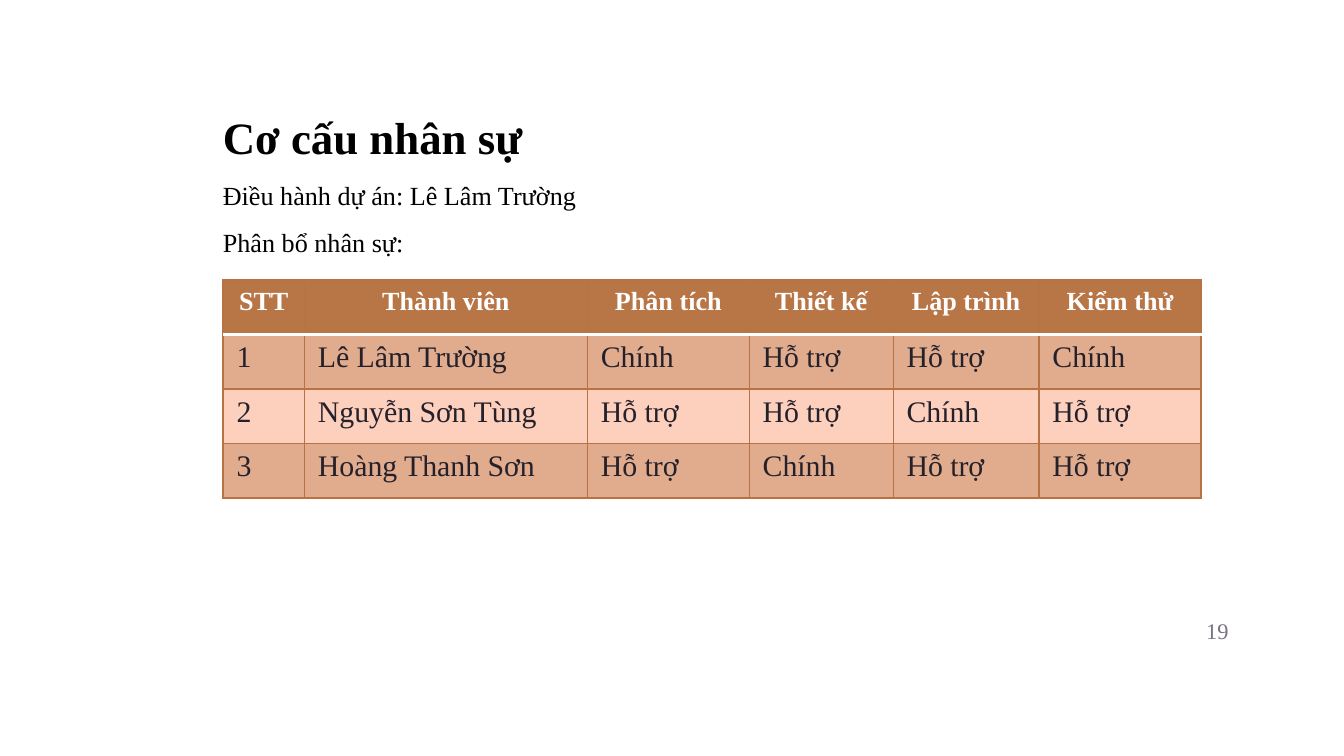
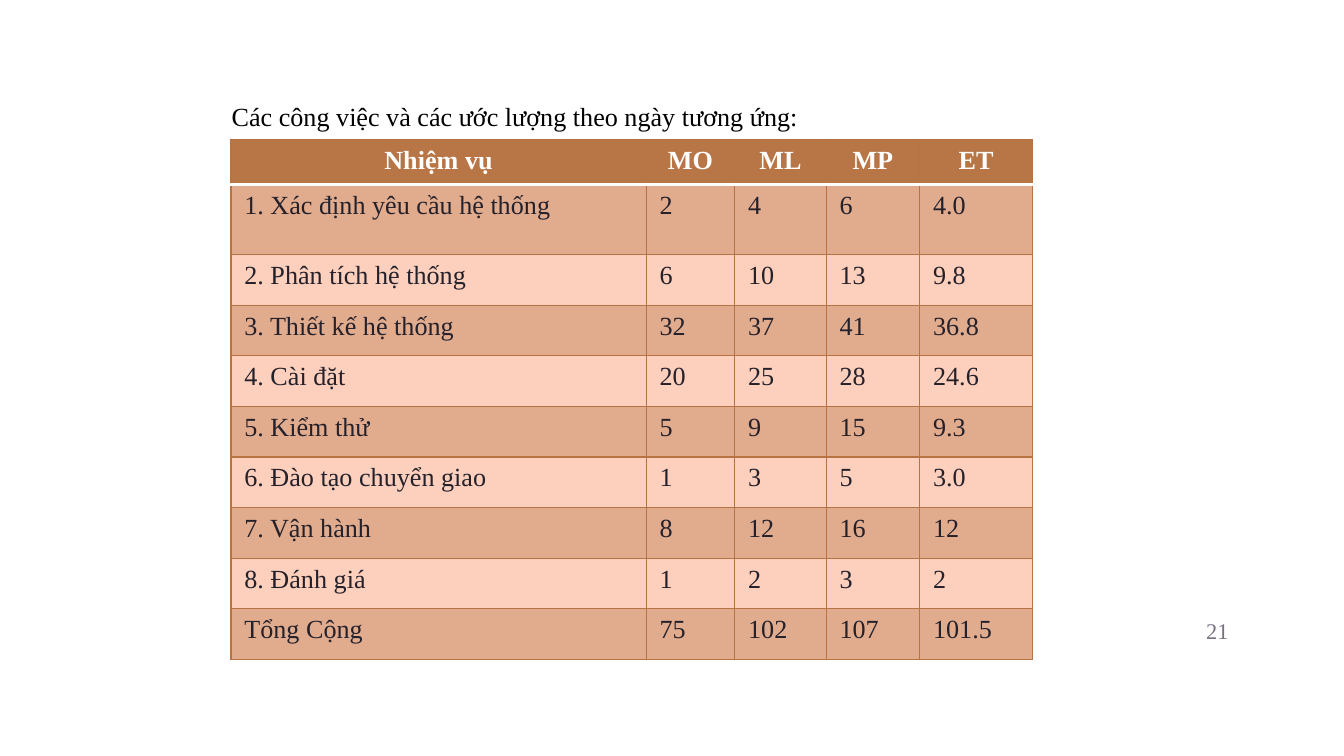
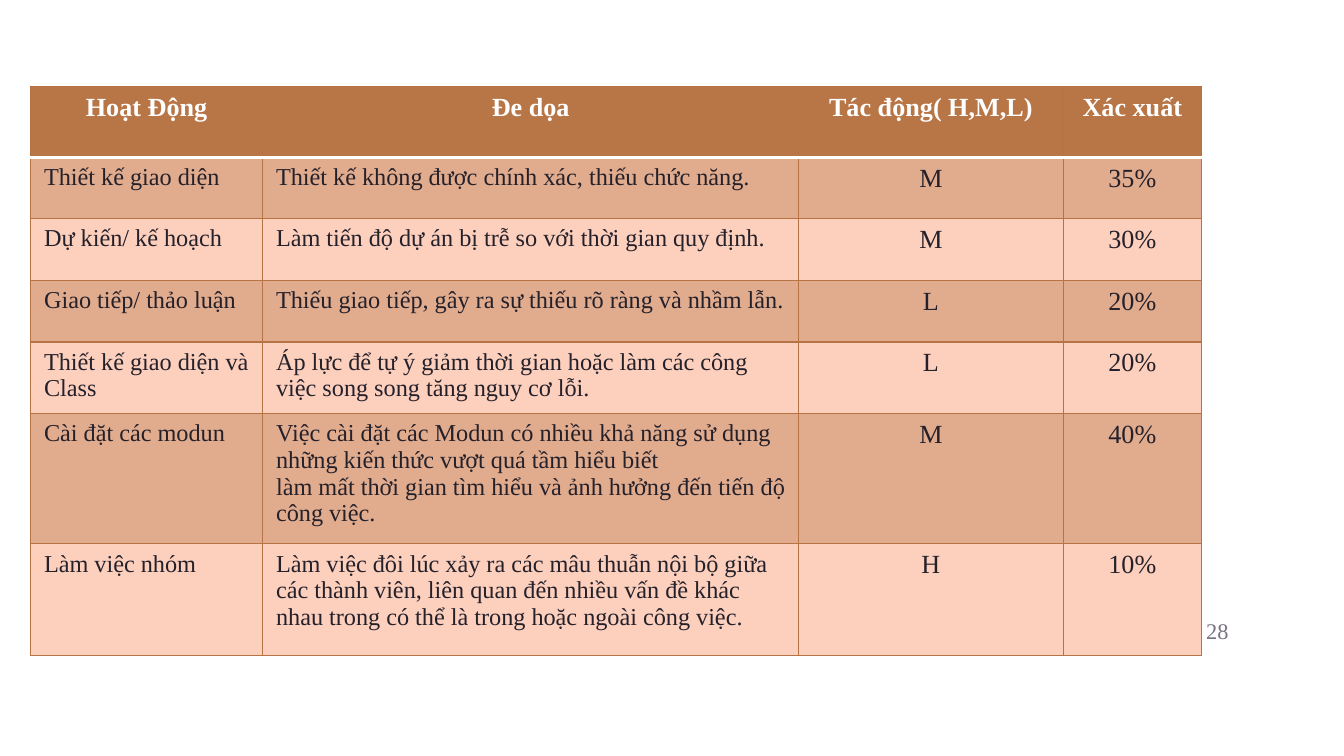
from lxml import etree
from pptx import Presentation
from pptx.dml.color import RGBColor
from pptx.enum import text
from pptx.oxml import ns
from pptx.util import Pt

BLACK = RGBColor(0x00, 0x00, 0x00)
WHITE = RGBColor(0xFF, 0xFF, 0xFF)
INK = RGBColor(0x25, 0x21, 0x2A)
GREY = RGBColor(0x79, 0x72, 0x81)
COPPER = RGBColor(0xB8, 0x76, 0x47)
RULE = RGBColor(0xB7, 0x73, 0x43)
BANDS = [RGBColor(0xE1, 0xAB, 0x8E), RGBColor(0xFD, 0xCF, 0xBD)]
FONT = "Times New Roman"
LEFT = text.PP_ALIGN.LEFT
CENTER = text.PP_ALIGN.CENTER
RIGHT = text.PP_ALIGN.RIGHT
JUSTIFY = text.PP_ALIGN.JUSTIFY


def write(frame, content, size, color, align=LEFT, bold=False):
    for index, line in enumerate(content.split("\n")):
        para = frame.add_paragraph() if index else frame.paragraphs[0]
        para.alignment = align
        span = para.add_run()
        span.text = line
        span.font.name = FONT
        span.font.size = Pt(size)
        span.font.bold = bold
        span.font.color.rgb = color


def add_grid(page, left, top, widths, heights, rows, styles):
    table = page.shapes.add_table(
        len(rows), len(widths), Pt(left), Pt(top), Pt(sum(widths)), Pt(sum(heights))
    ).table
    table.horz_banding = False
    for column, width in zip(table.columns, widths):
        column.width = Pt(width)
    for number, (row, height, values) in enumerate(zip(table.rows, heights, rows)):
        row.height = Pt(height)
        for cell, value, (size, align) in zip(row.cells, values, styles):
            properties = cell._tc.get_or_add_tcPr()
            for side in ("lnL", "lnR", "lnT", "lnB"):
                under_header = (number, side) in ((0, "lnB"), (1, "lnT"))
                width, color = (2, WHITE) if under_header else (0.75, RULE)
                line = etree.SubElement(properties, ns.qn(f"a:{side}"), w=str(Pt(width)))
                fill = etree.SubElement(line, ns.qn("a:solidFill"))
                etree.SubElement(fill, ns.qn("a:srgbClr"), val=str(color))
            cell.fill.solid()
            if number == 0:
                cell.fill.fore_color.rgb = COPPER
                write(cell.text_frame, value, 14, WHITE, CENTER, True)
            else:
                cell.fill.fore_color.rgb = BANDS[(number - 1) % 2]
                write(cell.text_frame, value, size, INK, align)


deck = Presentation()
deck.slide_width, deck.slide_height = Pt(720), Pt(405)
pages = []
for page_number in ("19", "21", "28"):
    page = deck.slides.add_slide(deck.slide_layouts[6])
    box = page.shapes.add_textbox(Pt(622), Pt(322.5), Pt(43.2), Pt(31))
    frame = box.text_frame
    frame.word_wrap = True
    frame.vertical_anchor = text.MSO_ANCHOR.MIDDLE
    frame.margin_left = frame.margin_right = Pt(7.2)
    frame.margin_top = frame.margin_bottom = Pt(7.2)
    write(frame, page_number, 12, GREY, RIGHT)
    pages.append(page)
staff_page, estimate_page, risk_page = pages

box = staff_page.shapes.add_textbox(Pt(112.3), Pt(41), Pt(360), Pt(101.5))
frame = box.text_frame
frame.word_wrap = True
write(
    frame,
    "Cơ cấu nhân sự\nĐiều hành dự án: Lê Lâm Trường\nPhân bổ nhân sự:",
    14, BLACK, JUSTIFY,
)
for para in frame.paragraphs:
    para.line_spacing = 1.5
title = frame.paragraphs[0].runs[0]
title.font.size = Pt(24)
title.font.bold = True

staff = [
    ("STT", "Thành viên", "Phân tích", "Thiết kế", "Lập trình", "Kiểm thử"),
    ("1", "Lê Lâm Trường", "Chính", "Hỗ trợ", "Hỗ trợ", "Chính"),
    ("2", "Nguyễn Sơn Tùng", "Hỗ trợ", "Hỗ trợ", "Chính", "Hỗ trợ"),
    ("3", "Hoàng Thanh Sơn", "Hỗ trợ", "Chính", "Hỗ trợ", "Hỗ trợ"),
]
add_grid(
    staff_page, 119.5, 150, [43.6, 151.6, 86.7, 77.1, 78.2, 86.8],
    [29.2] * 4, staff, [(16, LEFT)] * 6,
)

estimates = [
    ("Nhiệm vụ", "MO", "ML", "MP", "ET"),
    ("1. Xác định yêu cầu hệ thống", "2", "4", "6", "4.0"),
    ("2. Phân tích hệ thống", "6", "10", "13", "9.8"),
    ("3. Thiết kế hệ thống", "32", "37", "41", "36.8"),
    ("4. Cài đặt", "20", "25", "28", "24.6"),
    ("5. Kiểm thử", "5", "9", "15", "9.3"),
    ("6. Đào tạo chuyển giao", "1", "3", "5", "3.0"),
    ("7. Vận hành", "8", "12", "16", "12"),
    ("8. Đánh giá", "1", "2", "3", "2"),
    ("Tổng Cộng", "75", "102", "107", "101.5"),
]
add_grid(
    estimate_page, 123.7, 74.7, [222.5, 47.4, 49, 50.1, 60.5],
    [23, 37.7] + [27.1] * 8, estimates, [(14, JUSTIFY)] * 5,
)
box = estimate_page.shapes.add_textbox(Pt(117), Pt(50.5), Pt(321), Pt(24.2))
box.text_frame.word_wrap = False
write(box.text_frame, "Các công việc và các ước lượng theo ngày tương ứng:", 14, BLACK)

risks = [
    ("Hoạt Động", "Đe dọa", "Tác động( H,M,L)", "Xác xuất"),
    ("Thiết kế giao diện", "Thiết kế không được chính xác, thiếu chức năng.", "M", "35%"),
    ("Dự kiến/ kế hoạch", "Làm tiến độ dự án bị trễ so với thời gian quy định.", "M", "30%"),
    ("Giao tiếp/ thảo luận", "Thiếu giao tiếp, gây ra sự thiếu rõ ràng và nhầm lẫn.", "L", "20%"),
    (
        "Thiết kế giao diện và Class",
        "Áp lực để tự ý giảm thời gian hoặc làm các công việc song song tăng nguy cơ lỗi.",
        "L", "20%",
    ),
    (
        "Cài đặt các modun",
        "Việc cài đặt các Modun có nhiều khả năng sử dụng những kiến thức vượt quá tầm hiểu biết\n"
        "làm mất thời gian tìm hiểu và ảnh hưởng đến tiến độ công việc.",
        "M", "40%",
    ),
    (
        "Làm việc nhóm",
        "Làm việc đôi lúc xảy ra các mâu thuẫn nội bộ giữa các thành viên, liên quan đến "
        "nhiều vấn đề khác nhau trong có thể là trong hoặc ngoài công việc.",
        "H", "10%",
    ),
]
add_grid(
    risk_page, 16.4, 46.2, [124.3, 287.2, 141.7, 74.2],
    [38, 33, 33, 33, 36, 64.8, 60], risks,
    [(13, LEFT), (13, LEFT), (14, CENTER), (14, CENTER)],
)

deck.save("out.pptx")
